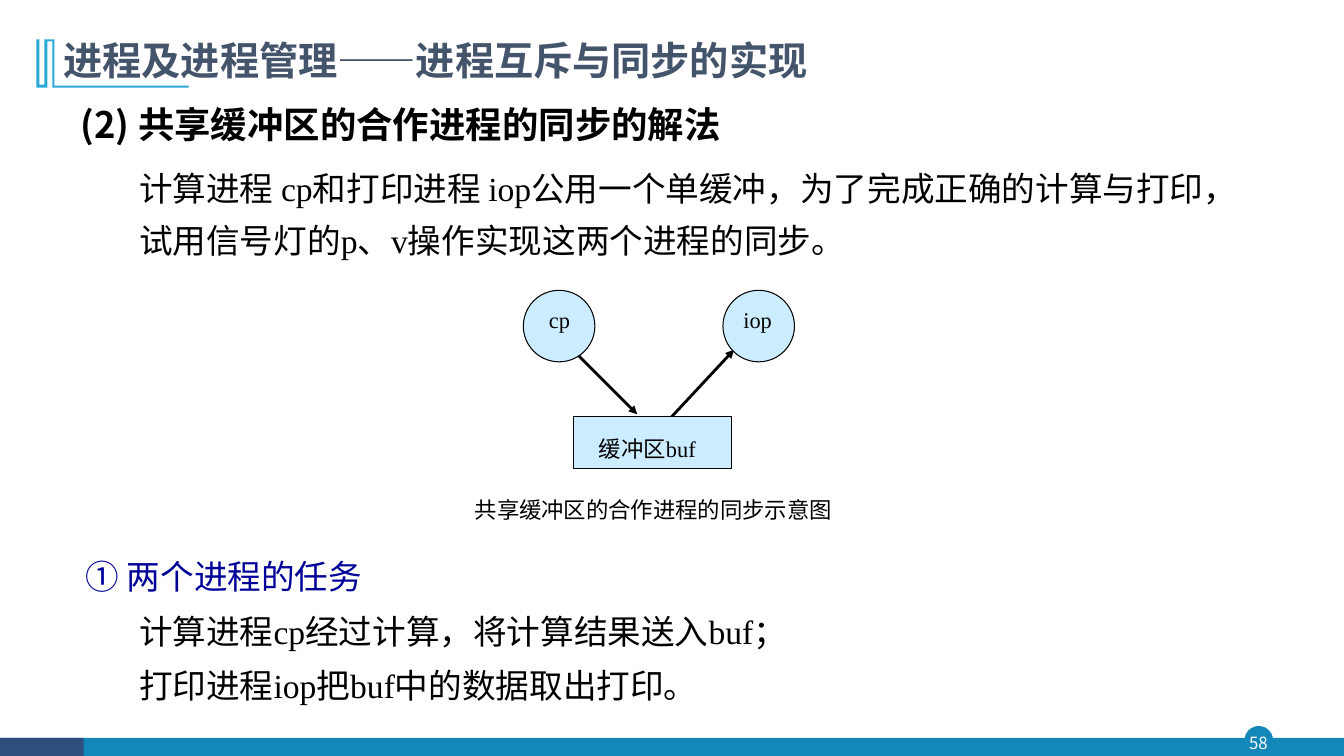
from dataclasses import dataclass

from lxml.etree import SubElement
from pptx import Presentation
from pptx.dml.color import RGBColor
from pptx.enum.shapes import MSO_CONNECTOR, MSO_SHAPE
from pptx.enum.text import MSO_ANCHOR, MSO_AUTO_SIZE, PP_ALIGN
from pptx.oxml.ns import qn
from pptx.util import Inches, Pt


@dataclass(frozen=True)
class Theme:
    sans: str = "Noto Sans CJK SC"
    serif: str = "Times New Roman"
    black: str = "000000"
    white: str = "FFFFFF"
    title: str = "44546A"
    heading: str = "000099"
    bar: str = "1387B7"
    bar_dark: str = "2E4E7E"
    bracket: str = "28A9D6"
    node: str = "CCECFF"
    title_size: int = 28
    subtitle_size: int = 26
    body_size: int = 24
    label_size: int = 16
    number_size: int = 12


class SlideBuilder:
    def __init__(self, slide, theme):
        self.slide = slide
        self.theme = theme

    def place(self, shape, box):
        shape.left, shape.top, shape.width, shape.height = map(Inches, box)

    def paint(self, shape, fill, line=None, width=0.75):
        shape.shadow.inherit = False
        shape.fill.solid()
        shape.fill.fore_color.rgb = RGBColor.from_string(fill)
        if line:
            shape.line.color.rgb = RGBColor.from_string(line)
            shape.line.width = Pt(width)
        else:
            shape.line.fill.background()

    def frame(self, shape, anchor=MSO_ANCHOR.TOP):
        frame = shape.text_frame
        frame.word_wrap = True
        frame.auto_size = MSO_AUTO_SIZE.NONE
        frame.vertical_anchor = anchor
        return frame

    def add_text(self, frame, text, size, color=None, font=None, bold=False,
                 align=PP_ALIGN.LEFT, spacing=1.0, before=0, indent=0):
        first = frame.paragraphs[0]
        paragraph = frame.add_paragraph() if first.runs else first
        paragraph.alignment = align
        paragraph.line_spacing = spacing
        paragraph.space_before = Pt(before)
        properties = paragraph._p.get_or_add_pPr()
        properties.set("marL", str(Inches(indent)))
        properties.set("indent", "0")
        SubElement(properties, qn("a:buNone"))
        run = paragraph.add_run()
        run.text = text
        run.font.size = Pt(size)
        run.font.bold = bold
        run.font.name = font or self.theme.serif
        run.font.color.rgb = RGBColor.from_string(color or self.theme.black)
        if font == self.theme.sans:
            SubElement(run._r.get_or_add_rPr(), qn("a:ea")).set("typeface", font)

    def placeholder(self, index, box, anchor=MSO_ANCHOR.TOP):
        shape = self.slide.placeholders[index]
        self.place(shape, box)
        return self.frame(shape, anchor)

    def text_box(self, box, anchor=MSO_ANCHOR.TOP):
        return self.frame(self.slide.shapes.add_textbox(*map(Inches, box)), anchor)

    def shape(self, kind, box, fill, line=None, width=0.75):
        shape = self.slide.shapes.add_shape(kind, *map(Inches, box))
        self.paint(shape, fill, line, width)
        return shape

    def node(self, kind, box, label, margin=0.1, **style):
        shape = self.shape(kind, box, self.theme.node, self.theme.black)
        frame = self.frame(shape)
        frame.margin_left = Inches(margin)
        frame.margin_right = 0
        self.add_text(frame, label, self.theme.label_size, **style)

    def outline(self, points, fill):
        corners = [(Inches(x), Inches(y)) for x, y in points]
        builder = self.slide.shapes.build_freeform(*corners[0])
        builder.add_line_segments(corners[1:], close=True)
        self.paint(builder.convert_to_shape(), fill)

    def arrow(self, start, end):
        connector = self.slide.shapes.add_connector(
            MSO_CONNECTOR.STRAIGHT, *map(Inches, start + end))
        connector.line.color.rgb = RGBColor.from_string(self.theme.black)
        connector.line.width = Pt(2)
        properties = connector._element.spPr
        SubElement(properties.find(qn("a:ln")), qn("a:tailEnd")).set("type", "triangle")
        SubElement(properties, qn("a:effectLst"))


def main():
    presentation = Presentation()
    presentation.slide_width = Inches(13.33)
    presentation.slide_height = Inches(7.5)
    theme = Theme()
    two_content = presentation.slide_layouts[3]
    page = SlideBuilder(presentation.slides.add_slide(two_content), theme)

    # Footer band and page number
    page.shape(MSO_SHAPE.OVAL, (12.35, 7.21, 0.27, 0.27), theme.bar, theme.bar, 1)
    page.shape(MSO_SHAPE.RECTANGLE, (0.01, 7.32, 13.32, 0.19), theme.bar)
    page.shape(MSO_SHAPE.RECTANGLE, (0, 7.32, 0.83, 0.19), theme.bar_dark)
    number = page.text_box((12.32, 7.21, 0.32, 0.31), MSO_ANCHOR.MIDDLE)
    number.margin_left = number.margin_right = number.margin_top = number.margin_bottom = 0
    page.add_text(number, "58", theme.number_size, theme.white, theme.sans,
                  align=PP_ALIGN.CENTER)

    # Title with its bracket
    page.outline([(0.54, 0.39), (0.54, 0.85), (1.87, 0.85), (1.87, 0.87),
                  (0.52, 0.87), (0.52, 0.41), (0.47, 0.41), (0.47, 0.87),
                  (0.36, 0.87), (0.36, 0.39), (0.39, 0.39), (0.39, 0.84),
                  (0.44, 0.84), (0.44, 0.39)], theme.bracket)
    title = page.placeholder(0, (0.53, 0.34, 10.49, 0.56), MSO_ANCHOR.MIDDLE)
    page.add_text(title, "进程及进程管理——进程互斥与同步的实现", theme.title_size,
                  theme.title, theme.sans, bold=True, spacing=0.9)

    # Problem statement
    problem = page.placeholder(1, (0.7, 0.75, 11.52, 1.93))
    page.add_text(problem, "(2) 共享缓冲区的合作进程的同步的解法", theme.subtitle_size,
                  font=theme.sans, bold=True, align=PP_ALIGN.JUSTIFY, spacing=1.5, before=10)
    page.add_text(problem, "计算进程 cp和打印进程 iop公用一个单缓冲，为了完成正确的计算与打印，"
                  "试用信号灯的p、v操作实现这两个进程的同步。", theme.body_size,
                  spacing=1.3, before=7, indent=0.58)

    # Buffer diagram
    page.arrow((6.61, 4.19), (7.28, 3.47))
    page.arrow((5.66, 3.45), (6.32, 4.11))
    page.node(MSO_SHAPE.RECTANGLE, (5.69, 4.13, 1.57, 0.52), "缓冲区buf",
              margin=0.25, spacing=1.5, before=8)
    for left, label, margin in ((5.19, "cp", 0.15), (7.17, "iop", 0.1)):
        page.node(MSO_SHAPE.OVAL, (left, 2.88, 0.71, 0.71), label, margin)
    caption = page.text_box((4.61, 4.82, 3.91, 0.42))
    page.add_text(caption, "共享缓冲区的合作进程的同步示意图", theme.label_size,
                  align=PP_ALIGN.JUSTIFY, spacing=1.2)

    # Tasks of the two processes
    tasks = page.placeholder(2, (0.75, 5.35, 8, 1.74))
    page.add_text(tasks, "① 两个进程的任务", theme.body_size, theme.heading,
                  spacing=1.3, before=7)
    for task in ("计算进程cp经过计算，将计算结果送入buf；", "打印进程iop把buf中的数据取出打印。"):
        page.add_text(tasks, task, theme.body_size, spacing=1.1, before=7, indent=0.53)

    presentation.save("out.pptx")


if __name__ == "__main__":
    main()
